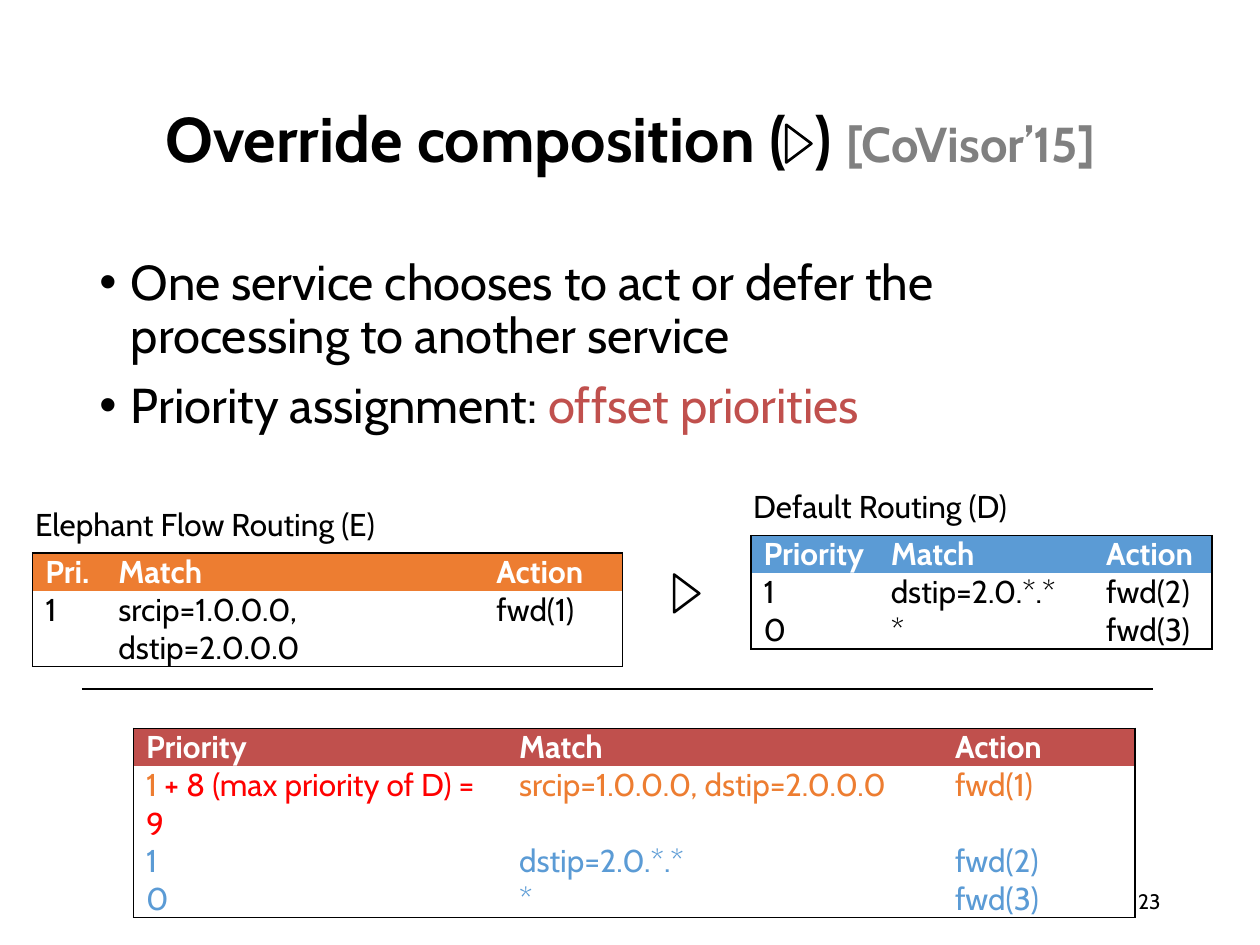
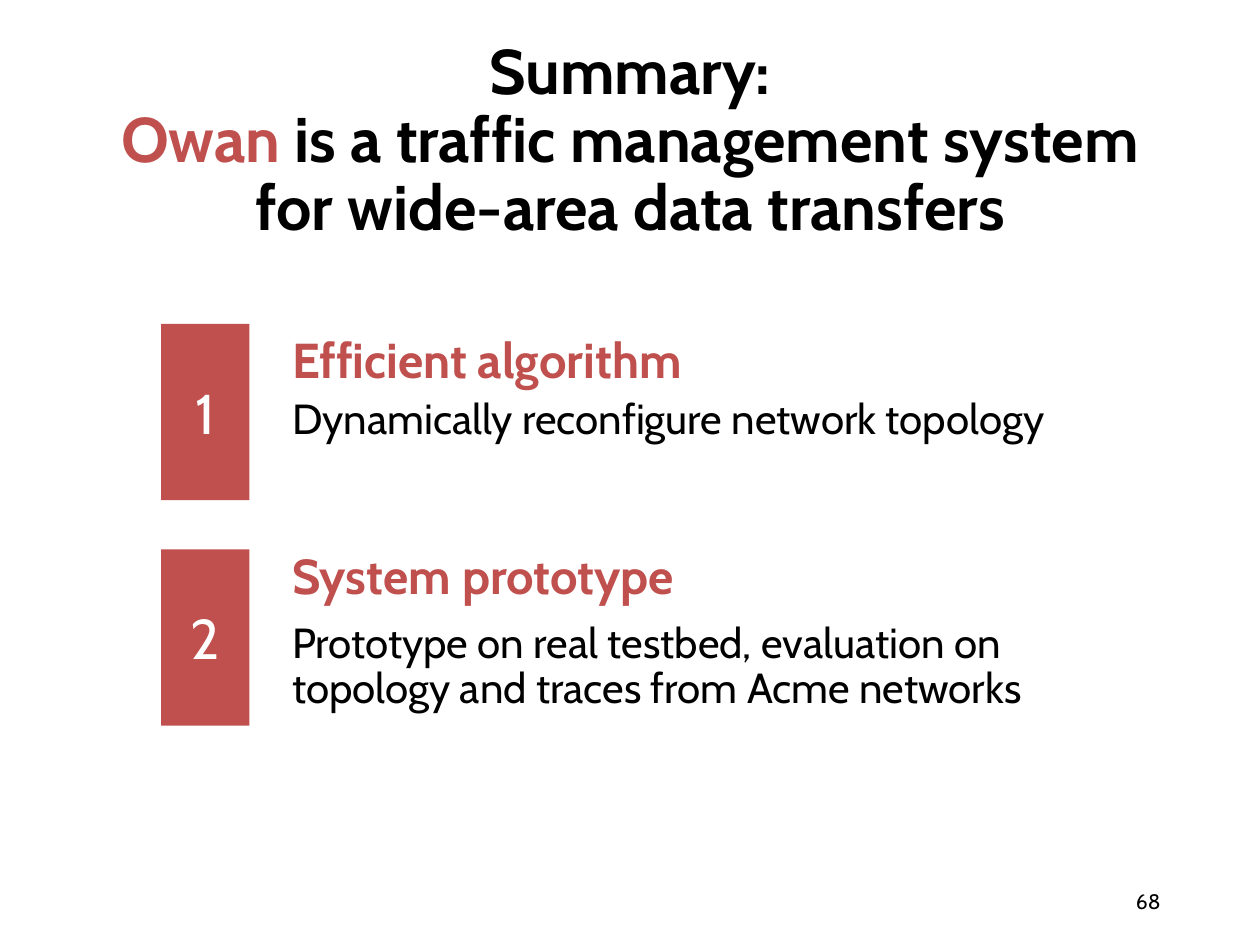
from dataclasses import dataclass

from lxml.etree import SubElement
from pptx import Presentation
from pptx.dml.color import RGBColor
from pptx.enum.shapes import MSO_CONNECTOR, MSO_SHAPE
from pptx.enum.text import MSO_ANCHOR, PP_ALIGN
from pptx.oxml.ns import qn
from pptx.util import Inches, Pt


@dataclass(frozen=True)
class Theme:
    font: str = "Cabin"
    black: str = "000000"
    white: str = "FFFFFF"
    gray: str = "808080"
    accent: str = "C0504D"
    elephant: str = "ED7D31"
    default: str = "5B9BD5"
    alert: str = "FF0000"
    title: int = 36
    number: int = 32
    body: int = 28
    detail: int = 24
    table: int = 18
    footer: int = 12
    border: float = 1
    stroke: float = 1.5


THEME = Theme()
WIDTH, HEIGHT = Inches(10), Inches(7.5)
COLUMNS, ROWS = 100, 75
MARGIN, CONTENT_WIDTH = 6.9, 86.2
TABLE_ROW = 3
PLAIN_TABLE_STYLE = "{2D5ABB26-0587-4C30-8999-92F81FD0307C}"


def across(columns):
    return round(WIDTH * columns / COLUMNS)


def down(rows):
    return round(HEIGHT * rows / ROWS)


def place(column, row, width, height):
    return across(column), down(row), across(width), down(height)


def rgb(color):
    return RGBColor.from_string(color)


def write(paragraph, text, size=THEME.table, color=THEME.black, bold=False, tracking=None):
    """Append one formatted run; tracking is letter spacing in points."""
    run = paragraph.add_run()
    run.text = text
    run.font.name = THEME.font
    run.font.size = Pt(size)
    run.font.bold = bold
    run.font.color.rgb = rgb(color)
    if tracking:
        run.font._element.set("spc", str(tracking * 100))


def add_frame(slide, column, row, width, height, anchor=MSO_ANCHOR.TOP):
    frame = slide.shapes.add_textbox(*place(column, row, width, height)).text_frame
    frame.word_wrap = True
    frame.vertical_anchor = anchor
    return frame


def add_title(slide):
    """Add the title area and return its centred paragraph."""
    frame = add_frame(slide, MARGIN, 4, CONTENT_WIDTH, 14.5, MSO_ANCHOR.MIDDLE)
    title = frame.paragraphs[0]
    title.alignment = PP_ALIGN.CENTER
    title.line_spacing = 0.9
    return title


def add_page_number(slide, number):
    frame = add_frame(slide, 70.6, 69.5, 22.5, 4, MSO_ANCHOR.MIDDLE)
    frame.paragraphs[0].alignment = PP_ALIGN.RIGHT
    write(frame.paragraphs[0], number, size=THEME.footer)


def add_label(slide, column, row, text):
    write(add_frame(slide, column, row, 32, 4).paragraphs[0], text)


def add_bullets(slide, bullets):
    frame = add_frame(slide, MARGIN, 20, CONTENT_WIDTH, 47.6)
    for index, runs in enumerate(bullets):
        paragraph = frame.add_paragraph() if index else frame.paragraphs[0]
        properties = paragraph._p.get_or_add_pPr()
        properties.set("marL", str(Inches(0.25)))
        properties.set("indent", str(-Inches(0.25)))
        SubElement(properties, qn("a:buFont"), typeface="Arial")
        SubElement(properties, qn("a:buChar"), char="•")
        paragraph.line_spacing = 0.9
        if index:
            paragraph.space_before = Pt(10)
        for text, color in runs:
            write(paragraph, text, size=THEME.body, color=color)


def add_override_symbol(slide, column, row):
    symbol = slide.shapes.add_shape(MSO_SHAPE.ISOSCELES_TRIANGLE, *place(column, row, 3, 2))
    symbol.rotation = 90
    symbol.shadow.inherit = False
    symbol.fill.background()
    symbol.line.color.rgb = rgb(THEME.black)
    symbol.line.width = Pt(THEME.stroke)


def add_divider(slide, left, right, row):
    divider = slide.shapes.add_connector(
        MSO_CONNECTOR.STRAIGHT, across(left), down(row), across(right), down(row))
    divider.line.color.rgb = rgb(THEME.black)
    divider.line.width = Pt(THEME.stroke)
    SubElement(divider._element.spPr, qn("a:effectLst"))


def outline_cell(cell, edges):
    """Draw the cell borders named in edges, given in the order L, R, T, B."""
    for edge in edges:
        line = SubElement(cell._tc.get_or_add_tcPr(), qn(f"a:ln{edge}"),
                          w=str(Pt(THEME.border)))
        SubElement(SubElement(line, qn("a:solidFill")), qn("a:srgbClr"), val=THEME.black)


def add_flow_table(slide, column, row, widths, header_color, header, rules):
    """Add an outlined table; each rule is a colour followed by its cells."""
    row_count = len(rules) + 1
    table = slide.shapes.add_table(
        row_count, len(widths),
        *place(column, row, sum(widths), TABLE_ROW * row_count)).table
    table._tbl.tblPr.find(qn("a:tableStyleId")).text = PLAIN_TABLE_STYLE
    table.first_row = table.horz_banding = False
    for table_column, width in zip(table.columns, widths):
        table_column.width = across(width)
    for r, (color, *entries) in enumerate([(THEME.white, *header), *rules]):
        table.rows[r].height = down(TABLE_ROW)
        for c, entry in enumerate(entries):
            cell = table.cell(r, c)
            cell.margin_top = cell.margin_bottom = 0
            on_edge = {"L": c == 0, "R": c == len(widths) - 1,
                       "T": r == 0, "B": r == row_count - 1}
            outline_cell(cell, [edge for edge, outer in on_edge.items() if outer])
            if r == 0:
                cell.fill.solid()
                cell.fill.fore_color.rgb = rgb(header_color)
            else:
                cell.fill.background()
            runs = [(entry, color)] if isinstance(entry, str) else entry
            for text, run_color in runs:
                write(cell.text_frame.paragraphs[0], text, color=run_color, bold=r == 0)


def add_number_block(slide, row, number):
    block = slide.shapes.add_shape(MSO_SHAPE.RECTANGLE, *place(12.8, row, 7, 14))
    block.shadow.inherit = False
    block.fill.solid()
    block.fill.fore_color.rgb = rgb(THEME.accent)
    block.line.fill.background()
    block.text_frame.vertical_anchor = MSO_ANCHOR.MIDDLE
    paragraph = block.text_frame.paragraphs[0]
    paragraph.alignment = PP_ALIGN.CENTER
    write(paragraph, number, size=THEME.number, color=THEME.white)


def add_contribution(slide, row, heading, detail, gap):
    frame = add_frame(slide, 22.2, row, 70, 14)
    heading_line, detail_line = frame.paragraphs[0], frame.add_paragraph()
    heading_line.line_spacing = detail_line.line_spacing = 0.9
    detail_line.space_before = Pt(gap)
    write(heading_line, heading, size=THEME.body, color=THEME.accent, bold=True)
    write(detail_line, detail, size=THEME.detail)


def build_override_slide(slide):
    title = add_title(slide)
    write(title, "Override composition (", size=THEME.title, bold=True)
    write(title, " ", size=THEME.title, bold=True, tracking=8)
    write(title, ") ", size=THEME.title, bold=True)
    write(title, "[CoVisor’15]", size=THEME.body, color=THEME.gray, bold=True)
    add_override_symbol(slide, 61.9, 10.4)
    add_bullets(slide, [
        [("One service chooses to act or defer the processing to another service",
          THEME.black)],
        [("Priority assignment: ", THEME.black), ("offset priorities", THEME.accent)],
    ])
    add_page_number(slide, "23")

    header = ("Priority", "Match", "Action")
    elephant_rule = ("srcip=1.0.0.0, dstip=2.0.0.0", "fwd(1)")
    default_rules = [("1", "dstip=2.0.*.*", "fwd(2)"), ("0", "*", "fwd(3)")]
    offset_priority = [("1", THEME.elephant), (" + 8 (max priority of D) = 9", THEME.alert)]

    add_label(slide, 1.8, 39.6, "Elephant Flow Routing (E)")
    add_flow_table(slide, 2.6, 43.9, (5.8, 30, 11), THEME.elephant,
                   ("Pri.", *header[1:]), [(THEME.black, "1", *elephant_rule)])
    add_override_symbol(slide, 53, 46.1)
    add_label(slide, 58.8, 38.2, "Default Routing (D)")
    add_flow_table(slide, 59.6, 42.5, (10.1, 17.1, 9.4), THEME.default, header,
                   [(THEME.black, *rule) for rule in default_rules])
    add_divider(slide, 6.5, 91.5, 54.7)
    add_flow_table(slide, 10.6, 57.8, (29.6, 34.6, 15.3), THEME.accent, header,
                   [(THEME.elephant, offset_priority, *elephant_rule),
                    *((THEME.default, *rule) for rule in default_rules)])


def build_summary_slide(slide):
    title = add_title(slide)
    write(title, "Summary:", size=THEME.title, bold=True)
    title.add_line_break()
    write(title, "Owan ", size=THEME.title, color=THEME.accent, bold=True)
    write(title, "is a traffic management system for wide-area data transfers",
          size=THEME.title, bold=True)
    add_page_number(slide, "68")

    contributions = [
        (26.2, "Efficient algorithm", "Dynamically reconfigure network topology", 5),
        (43.3, "System prototype",
         "Prototype on real testbed, evaluation on topology and traces from Acme networks",
         10),
    ]
    for index, contribution in enumerate(contributions):
        add_number_block(slide, 25.7 + 17.9 * index, str(index + 1))
        add_contribution(slide, *contribution)


def main():
    deck = Presentation()
    deck.slide_width, deck.slide_height = WIDTH, HEIGHT
    blank = deck.slide_layouts[6]
    for build in (build_override_slide, build_summary_slide):
        build(deck.slides.add_slide(blank))
    deck.save("out.pptx")


if __name__ == "__main__":
    main()
